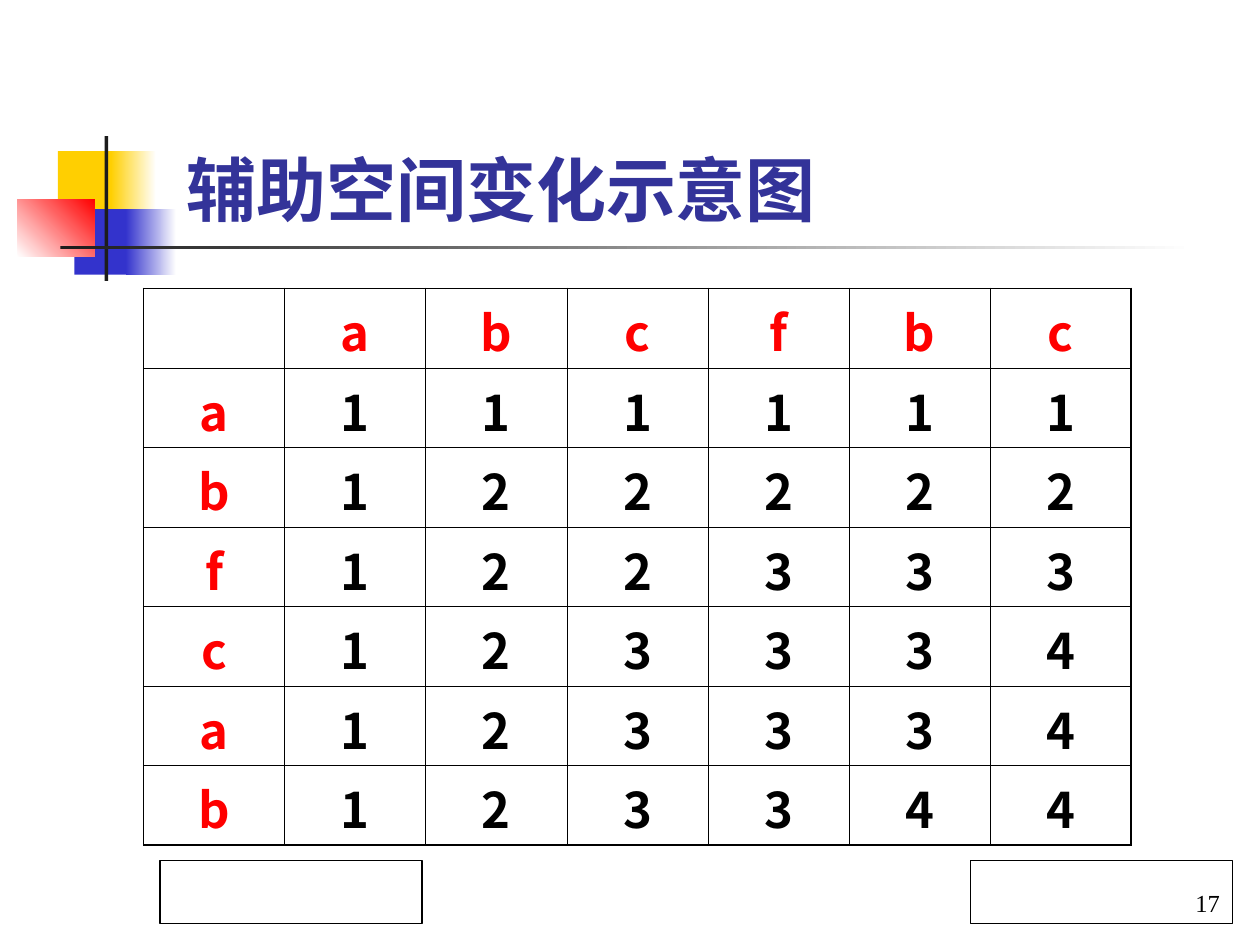
from dataclasses import dataclass

from lxml import etree
from pptx import Presentation
from pptx import util as u
from pptx.dml.color import RGBColor
from pptx.enum import shapes, text
from pptx.oxml.ns import qn


@dataclass(frozen=True)
class Theme:
    ink: str = "000000"
    paper: str = "FFFFFF"
    heading: str = "333399"
    label: str = "FF0000"
    yellow: str = "FFCF01"
    blue: str = "3333CC"
    red: str = "FF0000"
    rule: str = "1C1C1C"
    title_font: str = "Lato"
    cell_font: str = "Noto Sans CJK KR"
    number_font: str = "Times New Roman"
    title_size: float = 40
    cell_size: float = 28
    number_size: float = 14
    inner_border: float = 0.45
    outer_border: float = 1.08
    footer_border: float = 0.75


THEME = Theme()
COLUMNS, ROWS = 100, 75
WIDTH, HEIGHT = u.Inches(10), u.Inches(7.5)

SEQUENCE = "abcfbc"
LENGTHS = {
    "a": ["111111", "123334"],
    "b": ["122222", "123344"],
    "f": ["122333"],
    "c": ["123334"],
}
TABLE_ROWS = [
    ("a", LENGTHS["a"][0]),
    ("b", LENGTHS["b"][0]),
    ("f", LENGTHS["f"][0]),
    ("c", LENGTHS["c"][0]),
    ("a", LENGTHS["a"][1]),
    ("b", LENGTHS["b"][1]),
]


def place(column, row, columns, rows):
    across, down = WIDTH / COLUMNS, HEIGHT / ROWS
    return (round(column * across), round(row * down),
            round(columns * across), round(rows * down))


def color(value):
    return RGBColor.from_string(value)


def write(paragraph, words, font, size, ink, bold=False):
    run = paragraph.add_run()
    run.text = words
    run.font.name = font
    run.font.size = u.Pt(size)
    run.font.bold = bold
    run.font.color.rgb = color(ink)
    return run


def add_block(slide, area, fill, fade=None, angle=0, border=None):
    block = slide.shapes.add_shape(shapes.MSO_SHAPE.RECTANGLE, *place(*area))
    block.shadow.inherit = False
    if fade:
        block.fill.gradient()
        block.fill.gradient_angle = angle
        for stop, shade in zip(block.fill.gradient_stops, (fill, fade)):
            stop.color.rgb = color(shade)
    else:
        block.fill.solid()
        block.fill.fore_color.rgb = color(fill)
    if border:
        block.line.color.rgb = color(border)
        block.line.width = u.Pt(THEME.footer_border)
    else:
        block.line.fill.background()
    return block


def add_emblem(slide):
    add_block(slide, (4.6, 12, 4.8, 5.2), THEME.yellow)
    add_block(slide, (8.8, 12, 3.6, 5.2), THEME.yellow, THEME.paper)
    add_block(slide, (5.9, 16.6, 4.6, 5.2), THEME.blue)
    add_block(slide, (10, 16.6, 4, 5.2), THEME.blue, THEME.paper)
    add_block(slide, (1.4, 15.8, 6.1, 4.6), THEME.paper, THEME.red, 45)
    add_block(slide, (8.3, 10.8, 0.3, 11.5), THEME.rule)
    add_block(slide, (4.8, 19.5, 90, 0.3), THEME.rule, THEME.paper)


def format_title(slide, words):
    title = slide.shapes.title
    title.left, title.top, title.width, title.height = place(13.8, 11.1, 62.2, 7.7)
    frame = title.text_frame
    frame.auto_size = text.MSO_AUTO_SIZE.NONE
    frame.word_wrap = True
    frame.vertical_anchor = text.MSO_ANCHOR.MIDDLE
    heading = frame.paragraphs[0]
    heading.alignment = text.PP_ALIGN.LEFT
    write(heading, words, THEME.title_font, THEME.title_size, THEME.heading, True)


def set_borders(cell, widths):
    properties = cell._tc.get_or_add_tcPr()
    for position, (side, width) in enumerate(widths.items()):
        border = etree.Element(qn(f"a:ln{side}"), w=str(u.Pt(width)))
        fill = etree.SubElement(border, qn("a:solidFill"))
        etree.SubElement(fill, qn("a:srgbClr"), val=THEME.ink)
        properties.insert(position, border)


def add_length_table(slide, area):
    values = [["", *SEQUENCE]] + [[label, *lengths] for label, lengths in TABLE_ROWS]
    last_row, last_column = len(values) - 1, len(values[0]) - 1
    lengths = slide.shapes.add_table(last_row + 1, last_column + 1, *place(*area)).table
    for r, row in enumerate(values):
        for c, value in enumerate(row):
            cell = lengths.cell(r, c)
            cell.fill.background()
            cell.margin_top, cell.margin_bottom = u.Inches(0.05), 0
            edges = {"L": c == 0, "R": c == last_column, "T": r == 0, "B": r == last_row}
            set_borders(cell, {side: THEME.outer_border if outer else THEME.inner_border
                               for side, outer in edges.items()})
            if value:
                entry = cell.text_frame.paragraphs[0]
                entry.alignment = text.PP_ALIGN.CENTER
                ink = THEME.ink if r and c else THEME.label
                write(entry, value, THEME.cell_font, THEME.cell_size, ink, True)


def add_footer(slide, number):
    left, page = [add_block(slide, (column, 68.3, 20.8, 5), THEME.paper, border=THEME.ink)
                  for column in (12.7, 77)]
    page.text_frame.vertical_anchor = text.MSO_ANCHOR.BOTTOM
    paragraph = page.text_frame.paragraphs[0]
    paragraph.alignment = text.PP_ALIGN.RIGHT
    write(paragraph, number, THEME.number_font, THEME.number_size, THEME.ink)


def main():
    deck = Presentation()
    deck.slide_width, deck.slide_height = WIDTH, HEIGHT
    slide = deck.slides.add_slide(deck.slide_layouts[5])
    add_emblem(slide)
    format_title(slide, "辅助空间变化示意图")
    add_length_table(slide, (11.4, 22.9, 78.4, 44.2))
    add_footer(slide, "17")
    deck.save("out.pptx")


if __name__ == "__main__":
    main()
